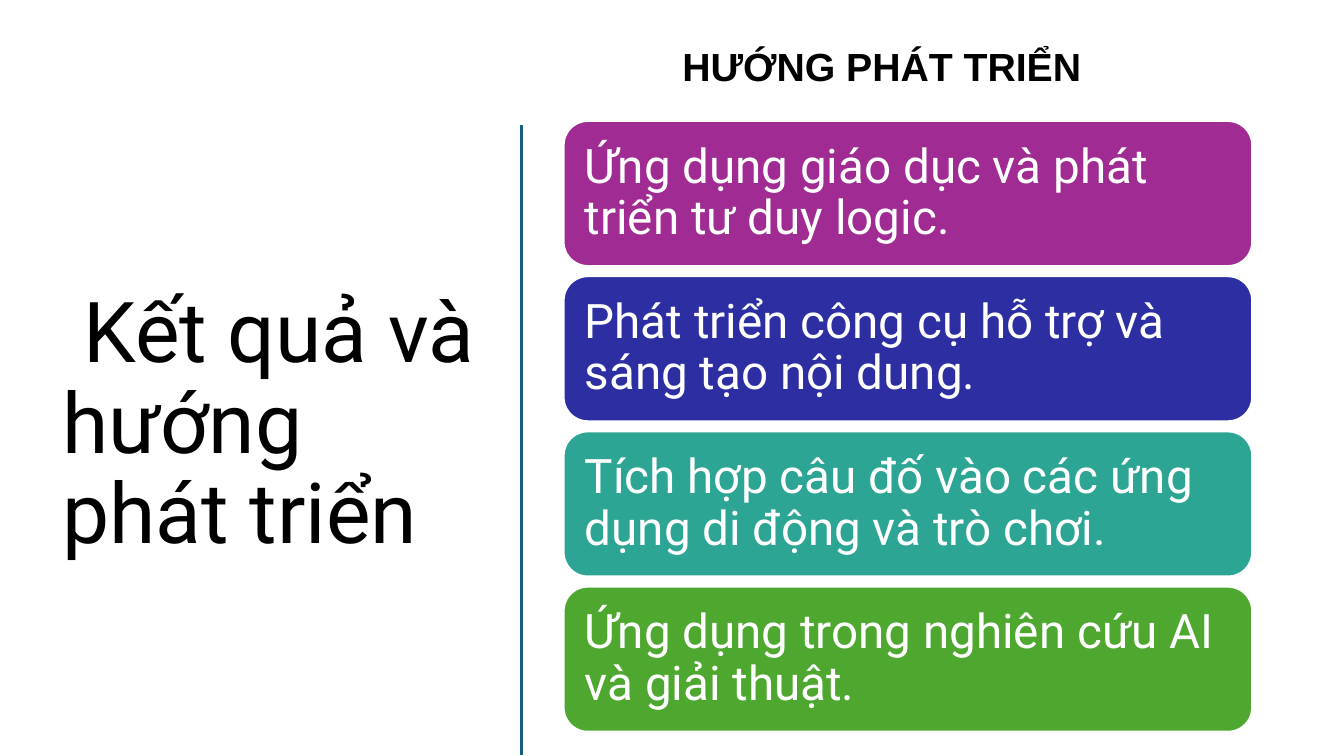
from lxml import etree
from pptx import Presentation
from pptx.dml.color import RGBColor
from pptx.enum.shapes import MSO_CONNECTOR, MSO_SHAPE
from pptx.enum.text import MSO_ANCHOR, MSO_AUTO_SIZE, PP_ALIGN
from pptx.oxml.ns import qn
from pptx.util import Inches, Pt

BLACK = RGBColor(0x00, 0x00, 0x00)
WHITE = RGBColor(0xFF, 0xFF, 0xFF)
BLUE = RGBColor(0x15, 0x60, 0x82)
PURPLE = RGBColor(0xA0, 0x2B, 0x93)
INDIGO = RGBColor(0x2C, 0x2E, 0xA2)
TEAL = RGBColor(0x2D, 0xA5, 0x94)
GREEN = RGBColor(0x4E, 0xA7, 0x2E)

LEFT = PP_ALIGN.LEFT
MIDDLE = MSO_ANCHOR.MIDDLE
TOP = MSO_ANCHOR.TOP
NO_FIT = MSO_AUTO_SIZE.NONE
ROUND = MSO_SHAPE.ROUNDED_RECTANGLE
STRAIGHT = MSO_CONNECTOR.STRAIGHT

TITLE = " Kết quả\u00a0và hướng phát triển".replace("\u00a0", " ")
HEAD = "HƯỚNG PHÁT TRIỂN"
CARDS = [
    ("Ứng dụng giáo dục và phát triển tư duy logic.", PURPLE),
    ("Phát triển công cụ hỗ trợ và sáng tạo nội dung.", INDIGO),
    ("Tích hợp câu đố vào các ứng dụng di động và trò chơi.", TEAL),
    ("Ứng dụng trong nghiên cứu AI và giải thuật.", GREEN),
]

CARD_X, CARD_Y, CARD_W, CARD_H = 5.59, 1.2, 6.83, 1.44
STEP = 1.54
PAD = 0.14


def write(shape, text, font, size, color, anchor=MIDDLE, bold=False):
    frame = shape.text_frame
    frame.word_wrap = True
    frame.auto_size = NO_FIT
    frame.vertical_anchor = anchor
    para = frame.paragraphs[0]
    para.alignment = LEFT
    para.line_spacing = 0.9
    run = para.add_run()
    run.text = text
    run.font.name = font
    run.font.size = Pt(size)
    run.font.bold = bold
    run.font.color.rgb = color
    return frame


def add_card(slide, row, text, color):
    card = slide.shapes.add_shape(
        ROUND, Inches(CARD_X), Inches(CARD_Y + row * STEP),
        Inches(CARD_W), Inches(CARD_H))
    card.shadow.inherit = False
    card.fill.solid()
    card.fill.fore_color.rgb = color
    card.line.color.rgb = WHITE
    card.line.width = Pt(1.5)
    frame = write(card, text, "Roboto", 34, WHITE)
    frame.margin_left = frame.margin_right = Inches(PAD)
    frame.margin_top = frame.margin_bottom = Inches(PAD)


def main():
    deck = Presentation()
    deck.slide_width = Inches(13.33)
    deck.slide_height = Inches(7.5)
    slide = deck.slides.add_slide(deck.slide_layouts[5])

    title = slide.shapes.title
    title.left, title.top = Inches(0.52), Inches(1.17)
    title.width, title.height = Inches(4.31), Inches(6.11)
    write(title, TITLE, "Roboto", 60, BLACK)

    rule = slide.shapes.add_connector(
        STRAIGHT, Inches(5.17), Inches(1.24), Inches(5.17), Inches(7.49))
    rule.line.color.rgb = BLUE
    rule.line.width = Pt(2)
    etree.SubElement(rule.line._get_or_add_ln().getparent(), qn("a:effectLst"))

    for row, (text, color) in enumerate(CARDS):
        add_card(slide, row, text, color)

    head = slide.shapes.add_textbox(
        Inches(6.67), Inches(0.42), Inches(4.21), Inches(0.52))
    frame = write(head, HEAD, "Arial", 28, BLACK, TOP, True)
    frame.paragraphs[0].space_before = Pt(10)

    deck.save("out.pptx")


if __name__ == "__main__":
    main()
